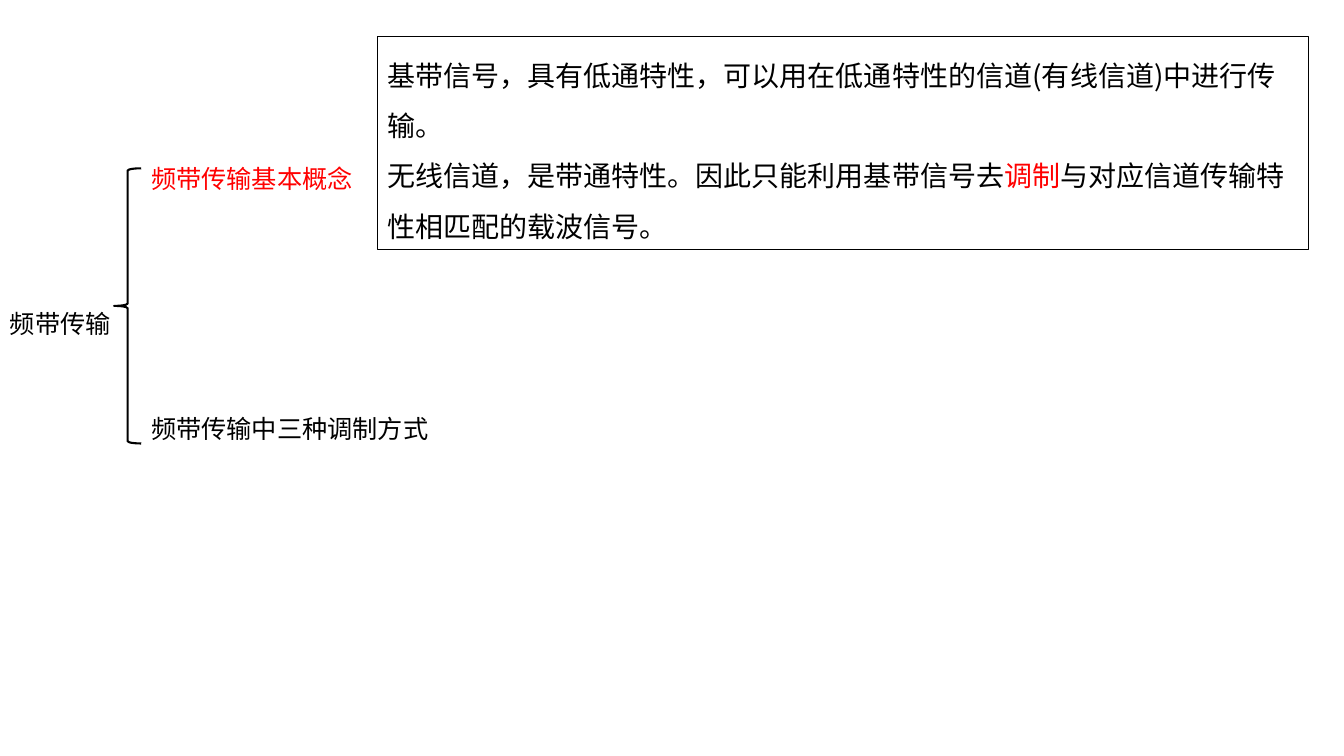
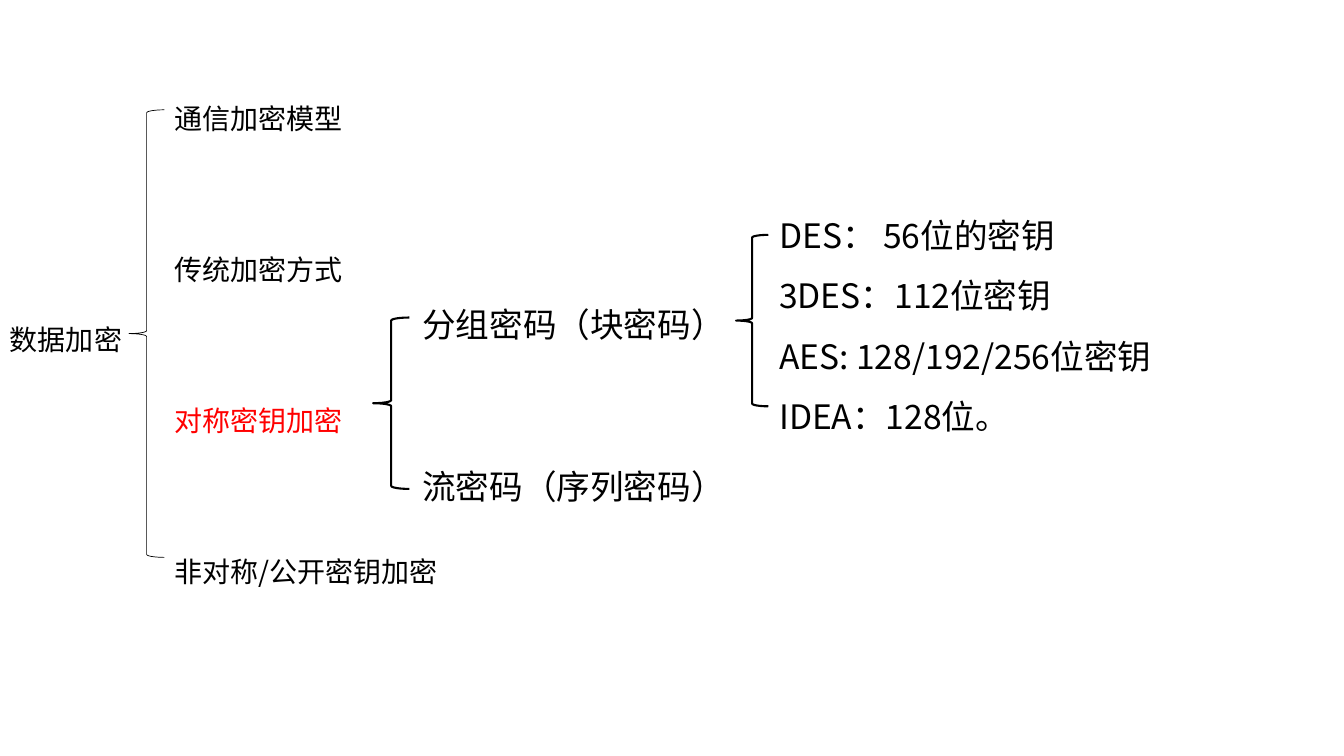
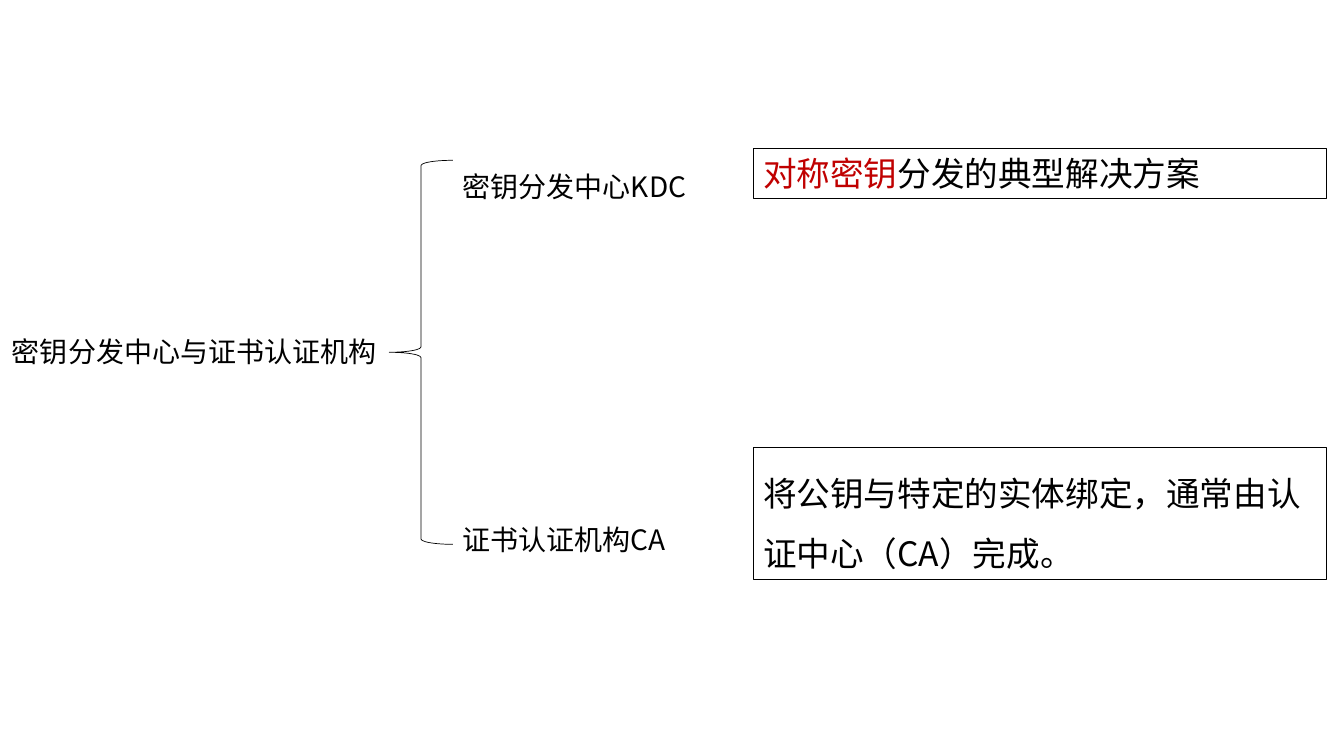
from pptx import Presentation
from pptx.dml.color import RGBColor
from pptx.enum.shapes import MSO_SHAPE
from pptx.enum.text import MSO_ANCHOR, PP_ALIGN
from pptx.oxml.ns import qn
from pptx.util import Inches, Pt
from lxml.etree import SubElement

BLACK = RGBColor(0x00, 0x00, 0x00)
RED = RGBColor(0xFF, 0x00, 0x00)
DARK_RED = RGBColor(0xC0, 0x00, 0x00)
FONT = "Noto Sans CJK SC"
SINGLE = 1.2
WIDE = 1.8


class MindMap:
    def __init__(self):
        self.deck = Presentation()
        self.deck.slide_width = Inches(13.33)
        self.deck.slide_height = Inches(7.5)
        self.page = None

    def add_page(self):
        self.page = self.deck.slides.add_slide(self.deck.slide_layouts[6])

    def place(self, left, top, width, height):
        across, down = self.deck.slide_width / 100, self.deck.slide_height / 100
        return (round(left * across), round(top * down),
                round(width * across), round(height * down))

    def outline(self, kind, area, weight):
        shape = self.page.shapes.add_shape(kind, *self.place(*area))
        shape.shadow.inherit = False
        shape.fill.background()
        shape.line.color.rgb = BLACK
        shape.line.width = Pt(weight)
        return shape

    def brace(self, area, weight=1.5):
        self.outline(MSO_SHAPE.LEFT_BRACE, area, weight)

    def label(self, area, paragraphs, size, leading=SINGLE, pitch=1):
        box = self.page.shapes.add_textbox(*self.place(*area))
        self.fill_text(box.text_frame, paragraphs, size, leading, pitch)

    def note(self, area, paragraphs, size, leading=SINGLE):
        box = self.outline(MSO_SHAPE.RECTANGLE, area, 0.75)
        self.fill_text(box.text_frame, paragraphs, size, leading)

    def fill_text(self, frame, paragraphs, size, leading, pitch=1):
        frame.word_wrap = True
        frame.vertical_anchor = MSO_ANCHOR.TOP
        line = size * leading
        for index, spans in enumerate(paragraphs):
            para = frame.add_paragraph() if index else frame.paragraphs[0]
            para.alignment = PP_ALIGN.LEFT
            para.line_spacing = Pt(line)
            if index and pitch > 1:
                para.space_before = Pt(line * (pitch - 1))
            para.font.size = Pt(size)
            para.font.name = FONT
            properties = para._p.pPr.find(qn("a:defRPr"))
            SubElement(properties, qn("a:ea")).set("typeface", FONT)
            for text, color in spans:
                span = para.add_run()
                span.text = text
                span.font.color.rgb = color


def plain(*texts):
    return [[(text, BLACK)] for text in texts]


def band_transmission(chart):
    chart.add_page()
    chart.label((0, 40.13, 11.85, 5.33), plain("频带传输"), 18)
    chart.brace((8.48, 22.27, 2.03, 36.4))
    chart.label((10.5, 18.93, 32.93, 6.67), [[("频带传输基本概念", RED)]], 18, WIDE)
    chart.label((10.5, 52, 23.86, 7.47), plain("频带传输中三种调制方式"), 18, WIDE)
    chart.note((28.06, 4.8, 69.32, 28.27), [
        [("基带信号，具有低通特性，可以用在低通特性的信道(有线信道)中进行传输。", BLACK)],
        [("无线信道，是带通特性。因此只能利用基带信号去", BLACK),
         ("调制", RED),
         ("与对应信道传输特性相匹配的载波信号。", BLACK)],
    ], 20, WIDE)


def data_encryption(chart):
    chart.add_page()
    chart.label((0, 42, 19.5, 5.87), plain("数据加密"), 20)
    chart.brace((9.6, 14.53, 2.63, 59.2), 0.5)
    chart.label((12.23, 10.53, 37.21, 68.67), [
        *plain("通信加密模型", "传统加密方式"),
        [("对称密钥加密", RED)],
        *plain("非对称/公开密钥加密"),
    ], 20, WIDE, pitch=3)
    chart.brace((27.76, 42, 2.7, 22.67))
    chart.label((30.68, 39.6, 32.56, 28.27),
                plain("分组密码（块密码）", "流密码（序列密码）"), 24, pitch=4)
    chart.brace((54.76, 31.07, 2.4, 22.67))
    chart.label((57.24, 25.07, 32.18, 33.6),
                plain("DES： 56位的密钥", "3DES：112位密钥",
                      "AES: 128/192/256位密钥", "IDEA：128位。"), 24, WIDE)


def key_distribution(chart):
    chart.add_page()
    chart.label((0.15, 43.6, 28.8, 6), plain("密钥分发中心与证书认证机构"), 20)
    chart.brace((28.96, 21.2, 4.73, 50.8), 0.5)
    chart.label((33.68, 19.6, 37.21, 55.2),
                plain("密钥分发中心KDC", "证书认证机构CA"), 20, WIDE, pitch=7)
    chart.note((56.04, 19.6, 42.69, 6.67),
               [[("对称密钥", DARK_RED), ("分发的典型解决方案", BLACK)]], 24)
    chart.note((56.04, 59.2, 42.69, 17.47),
               plain("将公钥与特定的实体绑定，通常由认证中心（CA）完成。"), 24, WIDE)


def main():
    chart = MindMap()
    band_transmission(chart)
    data_encryption(chart)
    key_distribution(chart)
    chart.deck.save("out.pptx")


if __name__ == "__main__":
    main()
